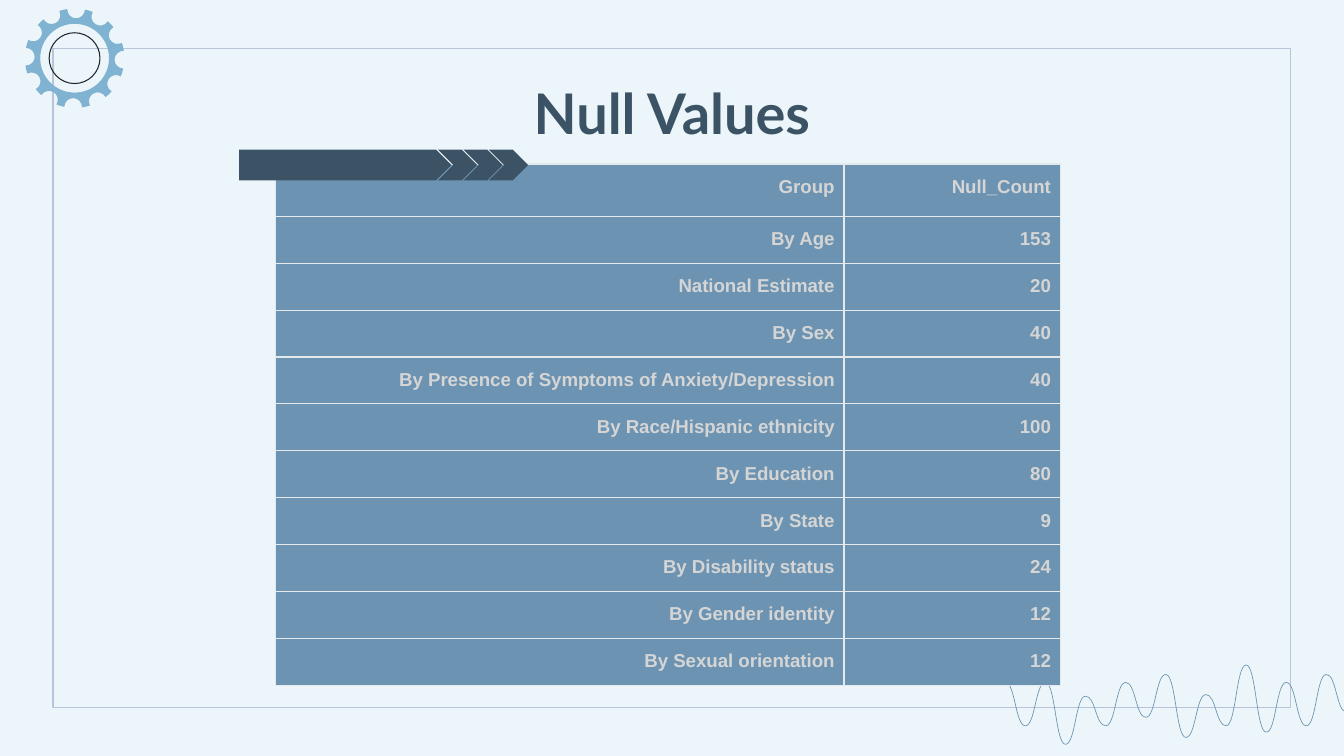
from math import cos, pi, sin, tan

from lxml import etree
from pptx import Presentation
from pptx import util as u
from pptx.dml.color import RGBColor
from pptx.enum import shapes, text
from pptx.oxml import ns

PALE = RGBColor(0xEC, 0xF6, 0xFA)
FRAME = RGBColor(0xB9, 0xC4, 0xDA)
STEEL = RGBColor(0x6C, 0x94, 0xB2)
SKY = RGBColor(0x80, 0xB3, 0xD2)
NAVY = RGBColor(0x3C, 0x53, 0x66)
INK = RGBColor(0x21, 0x27, 0x2C)
SILVER = RGBColor(0xD5, 0xD5, 0xD5)
BORDER = RGBColor(0xE3, 0xE9, 0xED)

NULL_COUNTS = [
    ("Group", "Null_Count"),
    ("By Age", "153"),
    ("National Estimate", "20"),
    ("By Sex", "40"),
    ("By Presence of Symptoms of Anxiety/Depression", "40"),
    ("By Race/Hispanic ethnicity", "100"),
    ("By Education", "80"),
    ("By State", "9"),
    ("By Disability status", "24"),
    ("By Gender identity", "12"),
    ("By Sexual orientation", "12"),
]
WAVE_TURNS = [
    12.9, 13.72, 12.9, 14.07, 13.16, 13.72, 12.9, 13.56, 12.75, 13.94,
    13.13, 13.72, 12.57, 13.84, 12.9, 13.72, 12.75, 13.46, 13.03, 13.72,
    12.7, 13.72, 13.23, 14.02, 12.9, 13.46, 12.78, 13.72, 13.13, 13.72,
]
GEAR_CENTER = (1.41, 1.1)


def write(frame, words, *, size, font, color, align, spacing=None):
    frame.word_wrap = True
    paragraph = frame.paragraphs[0]
    paragraph.text = words
    paragraph.alignment = align
    paragraph.line_spacing = spacing
    run = paragraph.runs[0].font
    run.size, run.name, run.bold = u.Pt(size), font, True
    run.color.rgb = color


def set_margins(holder, margin):
    holder.vertical_anchor = text.MSO_ANCHOR.TOP
    holder.margin_left = holder.margin_right = u.Cm(margin)
    holder.margin_top = holder.margin_bottom = u.Cm(margin)


def paint(shape, fill=None, line=None, width=0.75):
    shape.shadow.inherit = False
    if fill is None:
        shape.fill.background()
    else:
        shape.fill.solid()
        shape.fill.fore_color.rgb = fill
    if line is None:
        shape.line.fill.background()
    else:
        shape.line.color.rgb = line
        shape.line.width = u.Pt(width)


def add_preset(slide, kind, left, top, width, height, **look):
    shape = slide.shapes.add_shape(
        kind, u.Cm(left), u.Cm(top), u.Cm(width), u.Cm(height))
    paint(shape, **look)


def bend_segments(shape):
    segments = list(shape._element.iter(ns.qn("a:lnTo")))
    for start in range(0, len(segments), 3):
        curve = etree.Element(ns.qn("a:cubicBezTo"))
        segments[start].addprevious(curve)
        for segment in segments[start:start + 3]:
            curve.append(segment[0])
            segment.getparent().remove(segment)


def add_curves(slide, contours, close=True, **look):
    contours = [[(u.Cm(x), u.Cm(y)) for x, y in points] for points in contours]
    builder = slide.shapes.build_freeform(*contours[0][0])
    for number, points in enumerate(contours):
        if number:
            builder.move_to(*points[0])
        builder.add_line_segments(points[1:], close=close)
    shape = builder.convert_to_shape()
    bend_segments(shape)
    paint(shape, **look)


def polar(center, radius, angle):
    return center[0] + radius * cos(angle), center[1] + radius * sin(angle)


def arc(center, radius, start, sweep, pieces):
    step = sweep / pieces
    reach = radius * 4 / 3 * tan(step / 4)
    points = [polar(center, radius, start)]
    for i in range(pieces):
        begin, end = start + step * i, start + step * (i + 1)
        finish = polar(center, radius, end)
        points += [polar(points[-1], reach, begin + pi / 2),
                   polar(finish, -reach, end + pi / 2), finish]
    return points


def circle(radius, direction=1):
    return arc(GEAR_CENTER, radius, 0, direction * 2 * pi, 4)


def gear_rim(teeth=12, radius=0.94, notch=0.165, reach=0.92, half=0.18):
    pitch = 2 * pi / teeth
    rim = [polar(GEAR_CENTER, radius, 0.03 - half)]
    for tooth in range(teeth):
        angle = pitch * tooth + 0.03
        middle = polar(GEAR_CENTER, reach, angle)
        rim += arc(middle, notch, angle - pi / 2, -pi, 2)[1:]
        edge = polar(GEAR_CENTER, radius, angle + half)
        rim[-1] = edge
        rim += arc(GEAR_CENTER, radius, angle + half, pitch - 2 * half, 1)[1:]
    return rim


def wave(left, width, turns):
    stride = width / (len(turns) - 1)
    points = [(left, turns[0])]
    for i, (start, end) in enumerate(zip(turns, turns[1:])):
        middle = left + stride * (i + 0.5)
        points += [(middle, start), (middle, end),
                   (left + stride * (i + 1), end)]
    return points


def add_borders(cell):
    properties = cell._tc.get_or_add_tcPr()
    for position, side in enumerate(("a:lnL", "a:lnR", "a:lnT", "a:lnB")):
        line = etree.Element(ns.qn(side), w=str(u.Pt(0.75)))
        fill = etree.SubElement(line, ns.qn("a:solidFill"))
        etree.SubElement(fill, ns.qn("a:srgbClr"), val=str(BORDER))
        properties.insert(position, line)


def add_counts(slide, left, top, widths, header_height, body_height):
    table = slide.shapes.add_table(
        len(NULL_COUNTS), len(widths), u.Cm(left), u.Cm(top),
        u.Cm(sum(widths)), u.Cm(header_height + body_height)).table
    table.first_row = table.horz_banding = False
    for column, width in zip(table.columns, widths):
        column.width = u.Cm(width)
    row_height = body_height / (len(NULL_COUNTS) - 1)
    for i, (row, entries) in enumerate(zip(table.rows, NULL_COUNTS)):
        row.height = u.Cm(row_height if i else header_height)
        for cell, entry in zip(row.cells, entries):
            cell.fill.solid()
            cell.fill.fore_color.rgb = STEEL
            add_borders(cell)
            set_margins(cell, 0.18)
            write(cell.text_frame, entry, size=10, font="Arial", color=SILVER,
                  align=text.PP_ALIGN.RIGHT, spacing=1.15)


def add_title(slide, words):
    title = slide.shapes.title
    title.left, title.top = u.Cm(2), u.Cm(1.24)
    title.width, title.height = u.Cm(21.4), u.Cm(1.6)
    title.text_frame.auto_size = text.MSO_AUTO_SIZE.NONE
    set_margins(title.text_frame, 0.25)
    write(title.text_frame, words, size=30, font="Lato", color=NAVY,
          align=text.PP_ALIGN.CENTER)


def add_arrow_band(slide):
    preset = shapes.MSO_SHAPE
    add_preset(slide, preset.PENTAGON, 4.52, 2.83, 4.01, 0.58, fill=NAVY)
    for i in range(3):
        add_preset(slide, preset.CHEVRON, 8.28 + 0.48 * i, 2.83, 0.74, 0.58,
                   fill=NAVY)


def main():
    deck = Presentation()
    deck.slide_width, deck.slide_height = u.Cm(25.4), u.Cm(14.29)
    slide = deck.slides.add_slide(deck.slide_layouts[5])
    slide.background.fill.solid()
    slide.background.fill.fore_color.rgb = PALE

    add_preset(slide, shapes.MSO_SHAPE.RECTANGLE, 1, 0.92, 23.39, 12.45,
               line=FRAME)
    add_curves(slide, [wave(19, 11, WAVE_TURNS)], close=False,
               line=STEEL, width=0.37)
    add_curves(slide, [circle(0.74), circle(0.71, -1),
                       circle(0.49), circle(0.47, -1)], fill=INK)
    add_curves(slide, [gear_rim(), circle(0.65, -1)], fill=SKY)
    add_title(slide, "Null Values")
    add_counts(slide, 5.2, 3.1, (10.75, 4.09), 0.99, 8.87)
    add_arrow_band(slide)
    deck.save("out.pptx")


if __name__ == "__main__":
    main()
